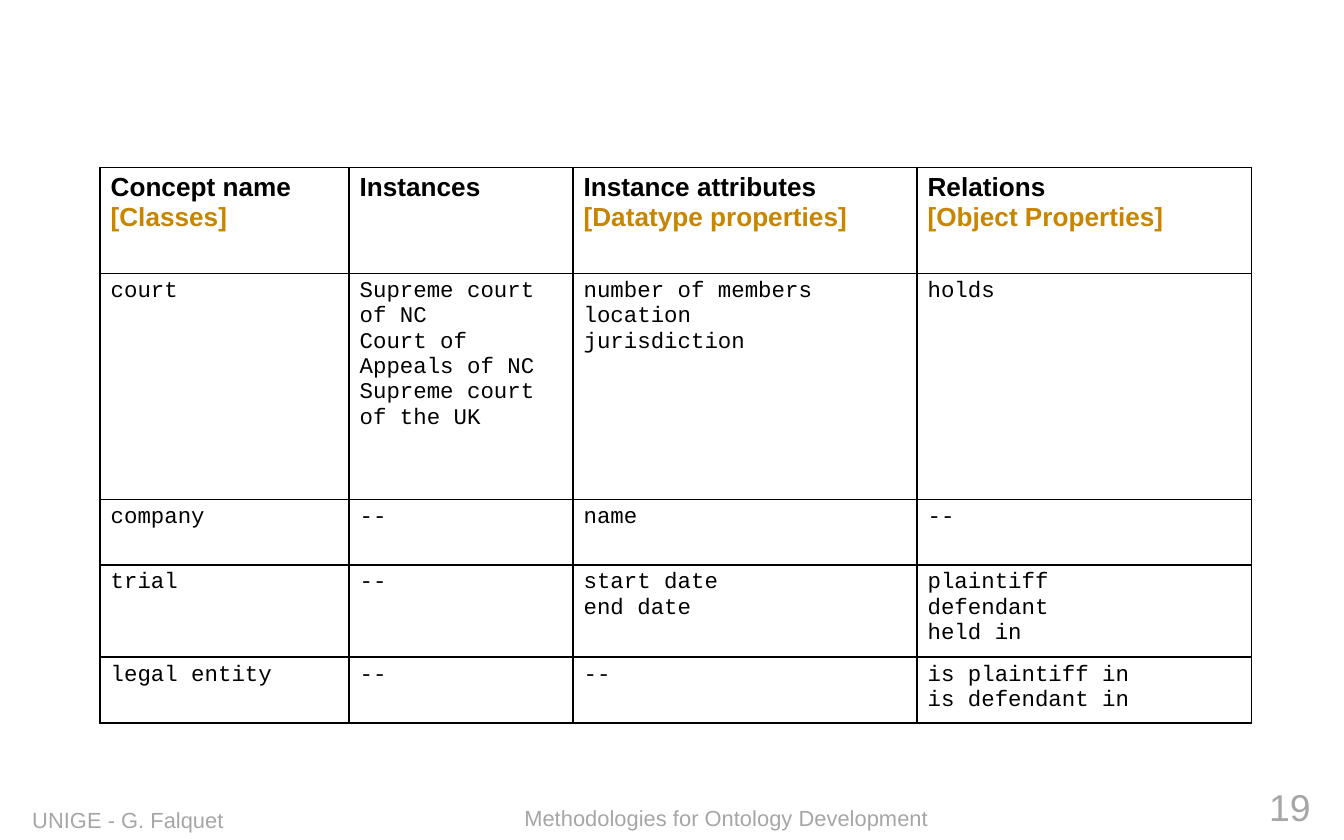
import pptx
import pptx.dml.color
import pptx.enum.text
import pptx.oxml
import pptx.oxml.ns
import pptx.util

Pt = pptx.util.Pt
RGBColor = pptx.dml.color.RGBColor
ALIGN = pptx.enum.text.PP_ALIGN
ANCHOR = pptx.enum.text.MSO_ANCHOR

BLACK = RGBColor(0x00, 0x00, 0x00)
OCHRE = RGBColor(0xC7, 0x85, 0x00)
GREY = RGBColor(0xA6, 0xA6, 0xA6)

HEADING = {"name": "Arial", "size": Pt(14), "bold": True}
ENTRY = {"name": "Courier New", "size": Pt(12), "bold": False}
FOOTER = {"name": "Arial", "size": Pt(11.7)}
PAGE_NUMBER = {"name": "Arial", "size": Pt(20)}

CELL_FORMAT = {
    "margin_left": Pt(5.8), "margin_right": Pt(5.8),
    "margin_top": Pt(2.9), "margin_bottom": Pt(2.9),
    "vertical_anchor": ANCHOR.TOP,
}
BOX_FORMAT = {
    "margin_left": Pt(7.2), "margin_right": Pt(7.2),
    "margin_top": Pt(3.6), "margin_bottom": Pt(3.6),
    "vertical_anchor": ANCHOR.MIDDLE, "word_wrap": True,
}

COLUMN_WIDTHS = [133.4, 120, 184.3, 179.3]
ROW_HEIGHTS = [56.8, 121, 35, 49.5, 35.2]
GLOSSARY = [
    ["Concept name\n[Classes]", "Instances",
     "Instance attributes\n[Datatype properties]",
     "Relations\n[Object Properties]"],
    ["court",
     "Supreme court of NC\nCourt of Appeals of NC\nSupreme court of the UK",
     "number of members\nlocation\njurisdiction", "holds"],
    ["company", "--", "name", "--"],
    ["trial", "--", "start date\nend date", "plaintiff\ndefendant\nheld in"],
    ["legal entity", "--", "--", "is plaintiff in\nis defendant in"],
]


def apply(target, values):
    """Set each format value on the target."""
    for key, value in values.items():
        setattr(target, key, value)


class SlideBuilder:
    """Holds the current slide and draws its elements in one style."""

    def __init__(self, slide):
        self.slide = slide
        self.rule_color = BLACK
        self.rule_width = Pt(1)

    def lines(self, frame, text, font, color, align=ALIGN.LEFT):
        """Add one paragraph per line, with bracketed lines in ochre."""
        for index, line in enumerate(text.split("\n")):
            paragraph = frame.paragraphs[0] if index == 0 else frame.add_paragraph()
            paragraph.alignment = align
            run = paragraph.add_run()
            run.text = line
            apply(run.font, font)
            run.font.color.rgb = OCHRE if line.startswith("[") else color

    def text(self, text, box, font, align=ALIGN.LEFT):
        """Add a grey footer text."""
        frame = self.slide.shapes.add_textbox(*map(Pt, box)).text_frame
        apply(frame, BOX_FORMAT)
        self.lines(frame, text, font, GREY, align)

    def border(self, cell):
        """Rule all four sides of a cell."""
        properties = cell._tc.get_or_add_tcPr()
        for side in ("lnL", "lnR", "lnT", "lnB"):
            properties.append(pptx.oxml.parse_xml(
                f'<a:{side} {pptx.oxml.ns.nsdecls("a")} w="{self.rule_width}">'
                f'<a:solidFill><a:srgbClr val="{self.rule_color}"/></a:solidFill>'
                f'</a:{side}>'))

    def table(self, rows, left, top, widths, heights):
        """Add a ruled table whose first row holds headings."""
        table = self.slide.shapes.add_table(
            len(rows), len(widths), Pt(left), Pt(top),
            Pt(sum(widths)), Pt(sum(heights))).table
        apply(table, {"first_row": False, "horz_banding": False})
        for column, width in zip(table.columns, widths):
            column.width = Pt(width)
        for row, height, entries in zip(table.rows, heights, rows):
            row.height = Pt(height)
            font = HEADING if entries is rows[0] else ENTRY
            for cell, entry in zip(row.cells, entries):
                apply(cell, CELL_FORMAT)
                self.border(cell)
                cell.fill.background()
                self.lines(cell.text_frame, entry, font, BLACK)


def main():
    """Build the glossary slide."""
    presentation = pptx.Presentation()
    apply(presentation, {"slide_width": Pt(720), "slide_height": Pt(450)})
    blank = presentation.slide_layouts[6]
    builder = SlideBuilder(presentation.slides.add_slide(blank))
    builder.text("Methodologies for Ontology Development", (273.8, 426.7, 275.8, 23), FOOTER)
    builder.text("UNIGE - G. Falquet", (10.2, 427.8, 228.2, 22.2), FOOTER)
    builder.text("19", (559.4, 417, 149.8, 30.2), PAGE_NUMBER, ALIGN.RIGHT)
    builder.table(GLOSSARY, 53.5, 89.8, COLUMN_WIDTHS, ROW_HEIGHTS)
    presentation.save("out.pptx")


if __name__ == "__main__":
    main()
